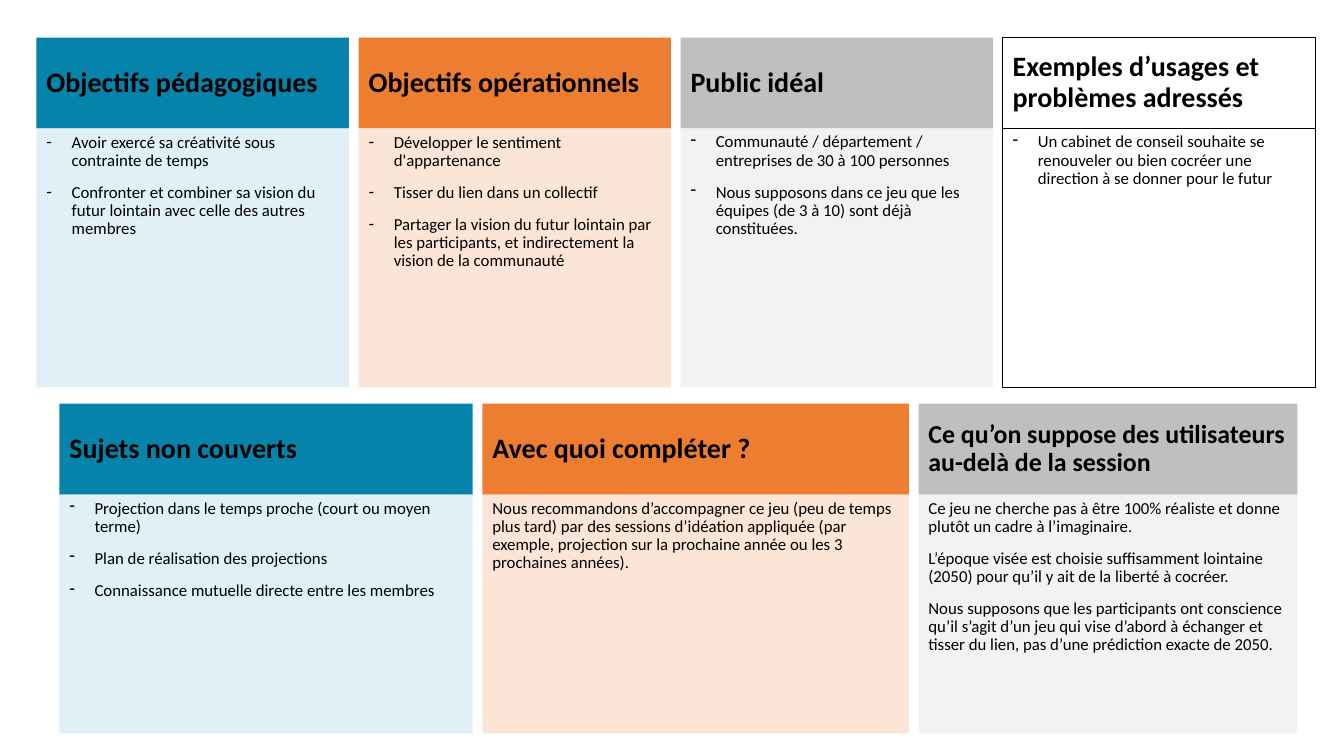
from lxml import etree
from pptx import Presentation
from pptx.dml.color import RGBColor
from pptx.enum.shapes import MSO_SHAPE
from pptx.enum.text import MSO_ANCHOR, MSO_AUTO_SIZE, PP_ALIGN
from pptx.oxml.ns import qn
from pptx.util import Pt

RECTANGLE = MSO_SHAPE.RECTANGLE
TOP, MIDDLE = MSO_ANCHOR.TOP, MSO_ANCHOR.MIDDLE
LEFT = PP_ALIGN.LEFT
NO_AUTOFIT = MSO_AUTO_SIZE.NONE

FONT = "Calibri"
COLORS = {
    "text": "000000", "white": "FFFFFF",
    "blue": "0683AA", "light_blue": "E1F0F7",
    "orange": "ED7D31", "light_orange": "FBE5D6",
    "gray": "BFBFBF", "light_gray": "F2F2F2",
}
BLUE = ("blue", "light_blue")
ORANGE = ("orange", "light_orange")
GRAY = ("gray", "light_gray")
WHITE = ("white", "white")

COMPARISON_LAYOUT = 4
GAP = 6.9
HEADER_HEIGHT = 65
BULLET_INDENT = 18

TOP_CARDS = [
    dict(width=223.2, title="Objectifs pédagogiques", colors=BLUE, items=[
        "Avoir exercé sa créativité sous contrainte de temps",
        "Confronter et combiner sa vision du futur lointain avec celle des autres membres"]),
    dict(width=223.2, title="Objectifs opérationnels", colors=ORANGE, items=[
        "Développer le sentiment d'appartenance",
        "Tisser du lien dans un collectif",
        "Partager la vision du futur lointain par les participants, "
        "et indirectement la vision de la communauté"]),
    dict(width=223.2, title="Public idéal", colors=GRAY, items=[
        "Communauté / département / entreprises de 30 à 100 personnes",
        "Nous supposons dans ce jeu que les équipes (de 3 à 10) sont déjà constituées."]),
    dict(width=223.2, title="Exemples d’usages et problèmes adressés", colors=WHITE,
         outlined=True, items=[
             "Un cabinet de conseil souhaite se renouveler ou bien cocréer "
             "une direction à se donner pour le futur"]),
]
BOTTOM_CARDS = [
    dict(width=295.2, title="Sujets non couverts", colors=BLUE, items=[
        "Projection dans le temps proche (court ou moyen terme)",
        "Plan de réalisation des projections",
        "Connaissance mutuelle directe entre les membres"]),
    dict(width=304.6, title="Avec quoi compléter ?", colors=ORANGE, bulleted=False, items=[
        "Nous recommandons d’accompagner ce jeu (peu de temps plus tard) par des sessions "
        "d’idéation appliquée (par exemple, projection sur la prochaine année "
        "ou les 3 prochaines années)."]),
    dict(width=270.7, title="Ce qu’on suppose des utilisateurs au-delà de la session",
         colors=GRAY, title_size=18.5, bulleted=False, items=[
             "Ce jeu ne cherche pas à être 100% réaliste et donne plutôt un cadre à l’imaginaire.",
             "L’époque visée est choisie suffisamment lointaine (2050) "
             "pour qu’il y ait de la liberté à cocréer.",
             "Nous supposons que les participants ont conscience qu’il s’agit d’un jeu qui vise "
             "d’abord à échanger et tisser du lien, pas d’une prédiction exacte de 2050."]),
]


def rgb(name):
    return RGBColor.from_string(COLORS[name])


def style_panel(shape, box, color, outlined, anchor):
    shape.left, shape.top, shape.width, shape.height = (Pt(length) for length in box)
    shape.shadow.inherit = False
    shape.fill.solid()
    shape.fill.fore_color.rgb = rgb(color)
    if outlined:
        shape.line.color.rgb = rgb("text")
        shape.line.width = Pt(0.75)
    else:
        shape.line.fill.background()
    frame = shape.text_frame
    frame.word_wrap = True
    frame.auto_size = NO_AUTOFIT
    frame.vertical_anchor = anchor


def set_bullet(paragraph, bulleted):
    indent = Pt(BULLET_INDENT) if bulleted else 0
    properties = paragraph._p.get_or_add_pPr()
    properties.set("marL", str(indent))
    properties.set("indent", str(-indent))
    if bulleted:
        etree.SubElement(properties, qn("a:buChar")).set("char", "-")
    else:
        etree.SubElement(properties, qn("a:buNone"))


def write_paragraphs(frame, texts, size, bold=False, bulleted=False):
    for index, text in enumerate(texts):
        paragraph = frame.add_paragraph() if index else frame.paragraphs[0]
        paragraph.alignment = LEFT
        paragraph.line_spacing = 0.9
        paragraph.space_before = Pt(10 if index else 0)
        set_bullet(paragraph, bulleted)
        run = paragraph.add_run()
        run.text = text
        run.font.name = FONT
        run.font.size = Pt(size)
        run.font.bold = bold
        run.font.color.rgb = rgb("text")


def add_panel(slide, placeholders):
    if placeholders:
        return placeholders.pop(0)
    return slide.shapes.add_shape(RECTANGLE, 0, 0, 0, 0)


def add_card(slide, placeholders, box, title, colors, items,
             title_size=20, bulleted=True, outlined=False):
    left, top, width, height = box
    header = add_panel(slide, placeholders)
    style_panel(header, (left, top, width, HEADER_HEIGHT), colors[0], outlined, MIDDLE)
    write_paragraphs(header.text_frame, [title], title_size, bold=True)

    body = add_panel(slide, placeholders)
    body_box = (left, top + HEADER_HEIGHT, width, height - HEADER_HEIGHT)
    style_panel(body, body_box, colors[1], outlined, TOP)
    write_paragraphs(body.text_frame, items, 12, bulleted=bulleted)


def add_card_row(slide, placeholders, left, top, height, cards):
    for card in cards:
        content = dict(card)
        width = content.pop("width")
        add_card(slide, placeholders, (left, top, width, height), **content)
        left += width + GAP


def main():
    presentation = Presentation()
    presentation.slide_width, presentation.slide_height = Pt(960), Pt(540)
    slide = presentation.slides.add_slide(presentation.slide_layouts[COMPARISON_LAYOUT])
    title = slide.shapes.title
    title._element.getparent().remove(title._element)
    placeholders = list(slide.placeholders)
    add_card_row(slide, placeholders, 26, 26.8, 250, TOP_CARDS)
    add_card_row(slide, placeholders, 42.5, 288.3, 235.6, BOTTOM_CARDS)
    presentation.save("out.pptx")


if __name__ == "__main__":
    main()
